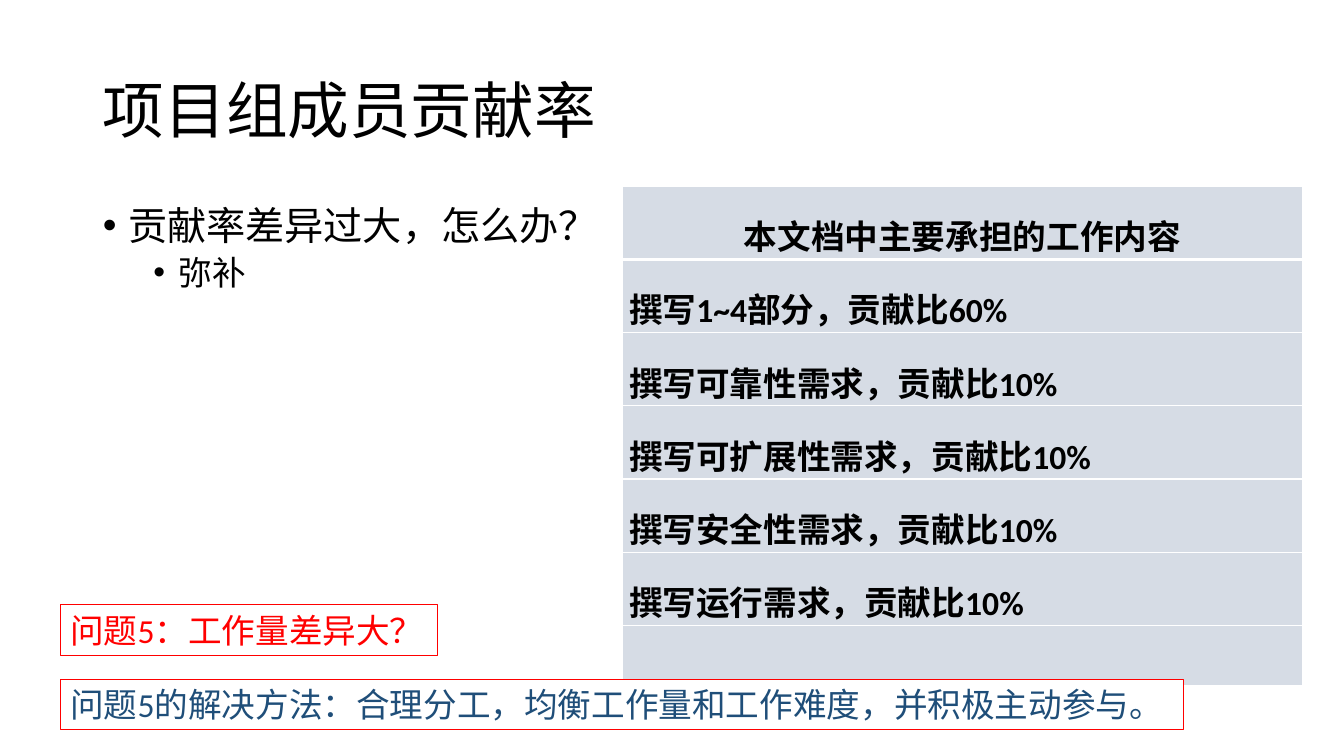
import pptx
import pptx.util
import pptx.dml.color
import pptx.enum.text
import pptx.oxml
import pptx.oxml.ns

Inches, Pt = pptx.util.Inches, pptx.util.Pt
RGBColor = pptx.dml.color.RGBColor
PP_ALIGN = pptx.enum.text.PP_ALIGN
MSO_ANCHOR = pptx.enum.text.MSO_ANCHOR
MSO_AUTO_SIZE = pptx.enum.text.MSO_AUTO_SIZE

BLACK = RGBColor(0x00, 0x00, 0x00)
WHITE = RGBColor(0xFF, 0xFF, 0xFF)
RED = RGBColor(0xFF, 0x00, 0x00)
NAVY = RGBColor(0x1F, 0x4E, 0x79)
PALE = RGBColor(0xD6, 0xDC, 0xE5)

# Content
TITLE = "项目组成员贡献率"
BULLETS = [  # text, level, size, space before, left margin
    ("贡献率差异过大，怎么办？", 0, 28, 10, 0.25),
    ("弥补", 1, 24, 5, 0.75),
]
HEADER = "本文档中主要承担的工作内容"
SHARES = [
    ("1~4部分", 60),
    ("可靠性需求", 10),
    ("可扩展性需求", 10),
    ("安全性需求", 10),
    ("运行需求", 10),
]
ROWS = [HEADER] + [f"撰写{part}，贡献比{share}%" for part, share in SHARES] + [""]
NOTES = [  # text, top, width, colour
    ("问题5：工作量差异大？", 6, 3.74, RED),
    ("问题5的解决方法：合理分工，均衡工作量和工作难度，并积极主动参与。", 6.74, 11.14, NAVY),
]
ROW_H = 0.6
BORDER = 1


def box(*lengths):
    return dict(zip(("left", "top", "width", "height"), map(Inches, lengths)))


def apply(obj, formats):
    for name, value in formats.items():
        setattr(obj, name, value)


def write(p, text, size, color=BLACK, bold=False, **formats):
    r = p.add_run()
    r.text = text
    apply(r.font, {"name": "Calibri", "size": Pt(size), "bold": bold})
    r.font.color.rgb = color
    apply(p, formats)


def set_borders(cell, widths):
    tcPr = cell._tc.get_or_add_tcPr()
    for i, (side, width) in enumerate(widths.items()):
        tcPr.insert(i, pptx.oxml.parse_xml(
            f'<a:ln{side} {pptx.oxml.ns.nsdecls("a")} w="{Pt(width)}"><a:solidFill>'
            f'<a:srgbClr val="{WHITE}"/></a:solidFill></a:ln{side}>'))


prs = pptx.Presentation()
apply(prs, {"slide_width": Inches(13.33), "slide_height": Inches(7.5)})
slide = prs.slides.add_slide(prs.slide_layouts[1])
title, body = slide.placeholders

# Title
apply(title, box(0.92, 0.4, 11.5, 1.45))
apply(title.text_frame, {"vertical_anchor": MSO_ANCHOR.MIDDLE,
                         "auto_size": MSO_AUTO_SIZE.NONE})
write(title.text_frame.paragraphs[0], TITLE, 44,
      alignment=PP_ALIGN.LEFT, line_spacing=0.9)

# Bullet list
apply(body, box(0.92, 2, 11.5, 4.76))
tf = body.text_frame
tf.auto_size = MSO_AUTO_SIZE.NONE
for i, (text, level, size, before, margin) in enumerate(BULLETS):
    p = tf.add_paragraph() if i else tf.paragraphs[0]
    write(p, text, size, level=level, line_spacing=0.9, space_before=Pt(before))
    pPr = p._p.get_or_add_pPr()
    pPr.set("marL", str(Inches(margin)))
    pPr.set("indent", str(Inches(-0.25)))
    for tag in ('buFont typeface="Arial"', 'buChar char="•"'):
        pPr.append(pptx.oxml.parse_xml(f'<a:{tag} {pptx.oxml.ns.nsdecls("a")}/>'))

# Work share table
table = slide.shapes.add_table(
    len(ROWS), 1, **box(6.17, 1.85, 6.75, ROW_H * len(ROWS))).table
for i, text in enumerate(ROWS):
    cell = table.cell(i, 0)
    cell.fill.solid()
    cell.fill.fore_color.rgb = PALE
    set_borders(cell, {"L": BORDER, "R": BORDER,
                       "T": 3 if i == 1 else BORDER, "B": BORDER if i else 3})
    apply(cell, {"margin_left": Inches(0.07), "margin_right": Inches(0.07),
                 "margin_top": 0, "margin_bottom": 0,
                 "vertical_anchor": MSO_ANCHOR.TOP if i else MSO_ANCHOR.MIDDLE})
    if text:
        write(cell.text_frame.paragraphs[0], text, 24, bold=True, line_spacing=1.5,
              alignment=PP_ALIGN.JUSTIFY if i else PP_ALIGN.CENTER)

# Question and answer boxes
for text, top, width, color in NOTES:
    sp = slide.shapes.add_textbox(**box(0.6, top, width, 0.5))
    sp.fill.solid()
    sp.fill.fore_color.rgb = WHITE
    sp.line.color.rgb = RED
    sp.line.width = Pt(0.75)
    apply(sp.text_frame, {"word_wrap": False,
                          "auto_size": MSO_AUTO_SIZE.SHAPE_TO_FIT_TEXT})
    write(sp.text_frame.paragraphs[0], text, 24, color)

prs.save("out.pptx")
